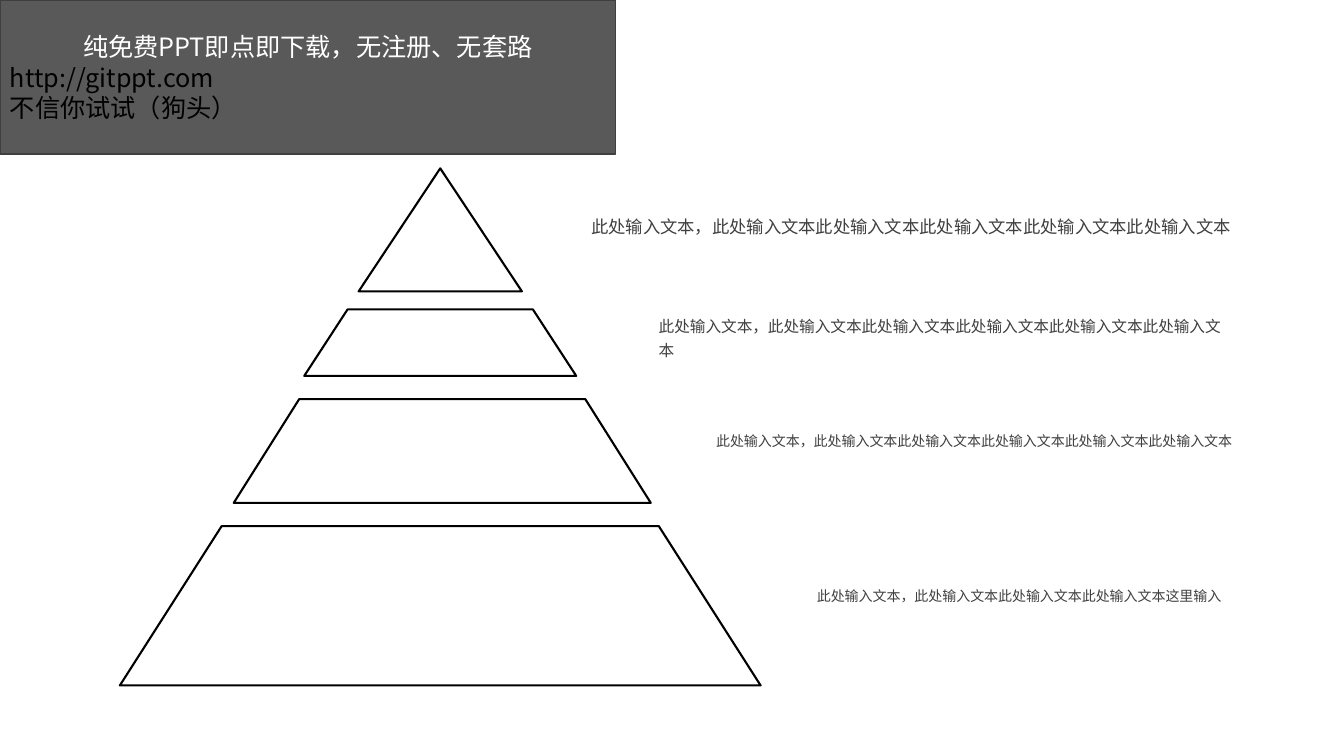
from pptx import Presentation
from pptx.dml.color import RGBColor
from pptx.enum.shapes import MSO_SHAPE
from pptx.enum.text import MSO_ANCHOR, PP_ALIGN
from pptx.util import Pt

PX = 9144  # EMU per px, 100 px to the inch
COLORS = {
    "outline": "000000",
    "text": "404040",
    "banner": "595959",
    "banner_line": "3F3F3F",
    "banner_title": "FFFFFF",
    "banner_text": "000000",
}

PYRAMID_CENTER = 437
TEXT_RIGHT = 1234
TEXT_HEIGHT = 51
PHRASE = "此处输入文本"
FULL_TEXT = PHRASE + "，" + PHRASE * 5
SHORT_TEXT = PHRASE + "，" + PHRASE * 3 + "这里输入"


def style_outline(shape, color, width):
    shape.shadow.inherit = False
    shape.line.color.rgb = RGBColor.from_string(COLORS[color])
    shape.line.width = Pt(width)


def style_text(para, font, size, color):
    for span in para.runs:
        span.font.name = font
        span.font.size = Pt(size)
        span.font.color.rgb = RGBColor.from_string(COLORS[color])


deck = Presentation()
deck.slide_width, deck.slide_height = 1334 * PX, 750 * PX
slide = deck.slides.add_slide(deck.slide_layouts[6])

# Pyramid: tip, then tiers as (center, top, bottom, half width at top, half width at bottom)
tip = slide.shapes.add_shape(
    MSO_SHAPE.ISOSCELES_TRIANGLE, (PYRAMID_CENTER - 81) * PX, 167 * PX, 162 * PX, 122 * PX
)
tip.fill.background()
style_outline(tip, "outline", 1.5)

tiers = [
    (PYRAMID_CENTER, 307, 373, 92, 135),
    (PYRAMID_CENTER + 2, 396, 499, 142, 207),
    (PYRAMID_CENTER, 522, 680, 217, 318),
]
for center, top, bottom, half_top, half_bottom in tiers:
    builder = slide.shapes.build_freeform(center + half_bottom, bottom, scale=PX)
    builder.add_line_segments(
        [(center + half_top, top), (center - half_top, top), (center - half_bottom, bottom)],
        close=True,
    )
    tier = builder.convert_to_shape()
    tier.fill.background()
    style_outline(tier, "outline", 1.5)

# Descriptions: left, top, font size, text
descriptions = [
    (577, 196, 12.4, FULL_TEXT),
    (644, 307, 11.2, FULL_TEXT),
    (701, 409, 10, FULL_TEXT),
    (801, 563, 10, SHORT_TEXT),
]
for left, top, size, text in descriptions:
    box = slide.shapes.add_textbox(left * PX, top * PX, (TEXT_RIGHT - left) * PX, TEXT_HEIGHT * PX)
    frame = box.text_frame
    frame.word_wrap = True
    frame.vertical_anchor = MSO_ANCHOR.MIDDLE
    frame.text = text
    para = frame.paragraphs[0]
    para.line_spacing = 1.3
    style_text(para, "Arial", size, "text")

banner = slide.shapes.add_shape(MSO_SHAPE.RECTANGLE, 0, 0, 611 * PX, 153 * PX)
banner.fill.solid()
banner.fill.fore_color.rgb = RGBColor.from_string(COLORS["banner"])
style_outline(banner, "banner_line", 1)

banner_lines = [
    ("纯免费PPT即点即下载，无注册、无套路", PP_ALIGN.CENTER, "banner_title"),
    ("http://gitppt.com", PP_ALIGN.LEFT, "banner_text"),
    ("不信你试试（狗头）", PP_ALIGN.LEFT, "banner_text"),
]
frame = banner.text_frame
frame.word_wrap = True
frame.vertical_anchor = MSO_ANCHOR.MIDDLE
frame.text = "\n".join(text for text, _, _ in banner_lines)
for para, (_, alignment, color) in zip(frame.paragraphs, banner_lines):
    para.alignment = alignment
    style_text(para, "Noto Sans CJK SC", 18, color)

deck.save("out.pptx")
